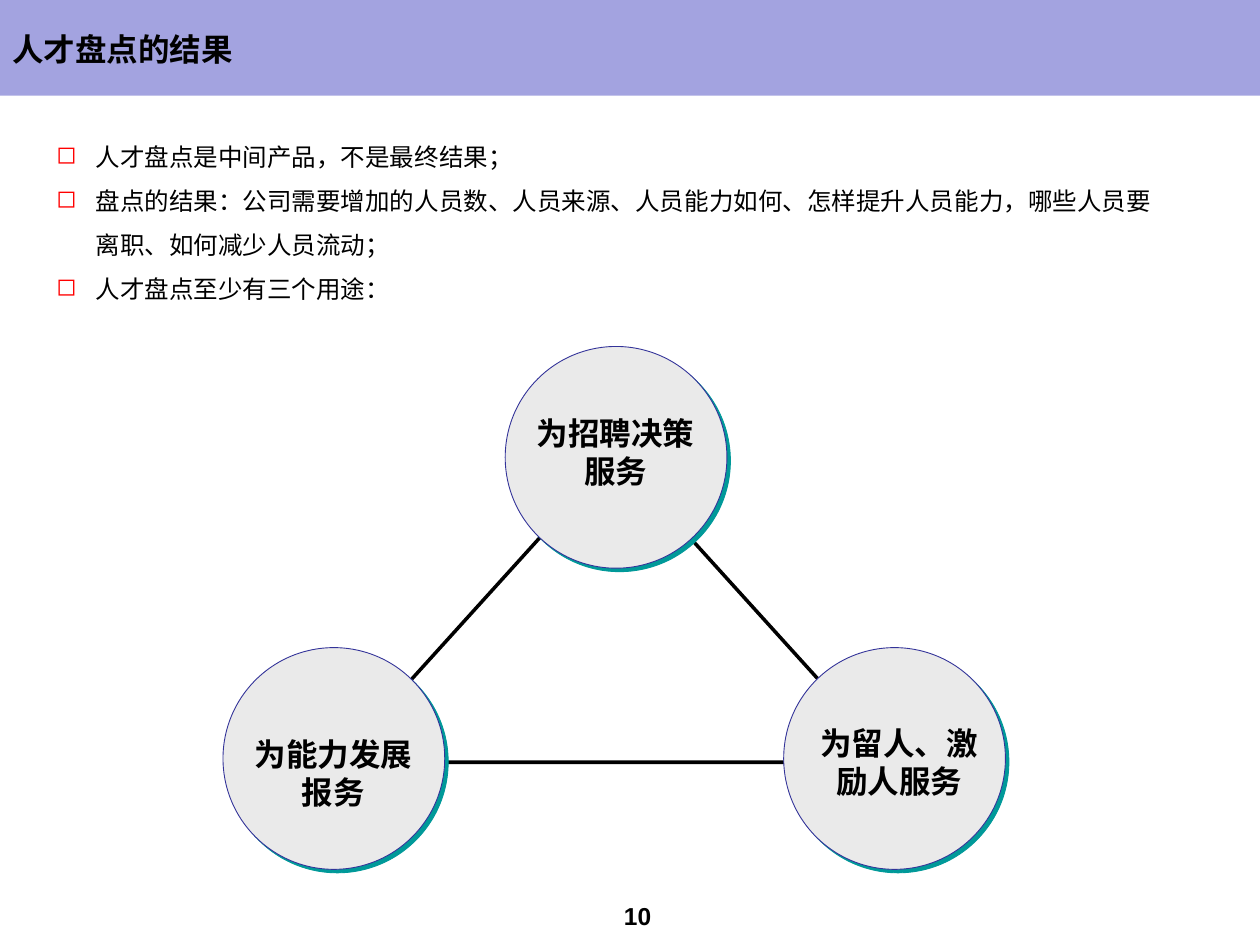
from dataclasses import dataclass

from lxml.etree import SubElement as Sub
from pptx import Presentation as Deck
from pptx.dml.color import RGBColor as Rgb
from pptx.enum.shapes import MSO_AUTO_SHAPE_TYPE as Kind
from pptx.enum.text import MSO_ANCHOR as Anchor, PP_ALIGN as Align
from pptx.oxml.ns import qn
from pptx.util import Inches, Pt

HUES = {
    "band": "A3A3E0",
    "ink": "000000",
    "disc": "EAEAEA",
    "rim": "333399",
    "shade": "009999",
    "mark": "FF0000",
}
HAN = "Noto Sans CJK SC"
SIZE = 1.76


@dataclass
class Box:
    left: float
    top: float
    width: float
    height: float

    def place(self) -> list:
        return [Inches(n) for n in (self.left, self.top, self.width, self.height)]


@dataclass
class Node:
    left: float
    top: float
    label: str
    text: Box


ITEMS = [
    "人才盘点是中间产品，不是最终结果；",
    "盘点的结果：公司需要增加的人员数、人员来源、人员能力如何、怎样提升人员能力，哪些人员要离职、如何减少人员流动；",
    "人才盘点至少有三个用途：",
]
NODES = [
    Node(4.01, 2.75, "为招聘决策服务", Box(4.14, 3.44, 1.49, 0.29)),
    Node(1.77, 5.14, "为能力发展报务", Box(1.9, 5.92, 1.49, 0.43)),
    Node(6.22, 5.14, "为留人、激励人服务", Box(6.39, 5.95, 1.49, 0.2)),
]


def hue(name: str) -> Rgb:
    return Rgb.from_string(HUES[name])


def apply(item, values: dict) -> None:
    for key, value in values.items():
        setattr(item, key, value)


def shape(slide, kind, box: Box, fill: str = "", line: str = "", width: float = 0):
    form = slide.shapes.add_shape(kind, *box.place())
    form.shadow.inherit = False
    if fill:
        form.fill.solid()
        form.fill.fore_color.rgb = hue(fill)
    else:
        form.fill.background()
    if line:
        form.line.color.rgb = hue(line)
        form.line.width = Pt(width)
    else:
        form.line.fill.background()
    return form


def shade(form) -> None:
    effect = form._element.spPr.find(qn("a:effectLst"))
    cast = Sub(effect, qn("a:outerShdw"), dist=str(Pt(2.8)), dir="2700000",
               algn="ctr", rotWithShape="0")
    Sub(cast, qn("a:srgbClr"), val=HUES["shade"])


def bullet(para) -> None:
    props = para._p.get_or_add_pPr()
    apply(para, {"line_spacing": 1.5})
    props.set("marL", str(Inches(0.31)))
    props.set("indent", str(Inches(-0.31)))
    Sub(Sub(props, qn("a:buClr")), qn("a:srgbClr"), val=HUES["mark"])
    Sub(props, qn("a:buChar"), char="◻")


def write(slide, box: Box, lines: list[str], size: float, bold: bool = False,
          face: str = "Arial", align=Align.LEFT, anchor=Anchor.MIDDLE,
          inset: tuple[float, float] = (0.1, 0.05), marks: bool = False) -> None:
    frame = slide.shapes.add_textbox(*box.place()).text_frame
    side, end = (Inches(n) for n in inset)
    apply(frame, {"word_wrap": True, "vertical_anchor": anchor,
                  "margin_left": side, "margin_right": side,
                  "margin_top": end, "margin_bottom": end})
    for i, line in enumerate(lines):
        para = frame.add_paragraph() if i else frame.paragraphs[0]
        para.alignment = align
        if marks:
            bullet(para)
        run = para.add_run()
        run.text = line
        apply(run.font, {"name": face, "size": Pt(size), "bold": bold})
        run.font.color.rgb = hue("ink")
        Sub(run._r.get_or_add_rPr(), qn("a:ea"), typeface=HAN)


def main() -> None:
    deck = Deck()
    apply(deck, {"slide_width": Inches(10), "slide_height": Inches(7.5)})
    slide = deck.slides.add_slide(deck.slide_layouts[6])
    shape(slide, Kind.RECTANGLE, Box(0, 0, 10, 0.76), "band")
    write(slide, Box(4.69, 7.09, 0.74, 0.35), ["10"], 14, True, align=Align.CENTER)
    write(slide, Box(0, 0.08, 9.67, 0.62), ["人才盘点的结果"], 18, True, HAN)
    write(slide, Box(0.35, 0.96, 9.06, 1.47), ITEMS, 14,
          anchor=Anchor.TOP, marks=True)
    shape(slide, Kind.ISOSCELES_TRIANGLE, Box(2.67, 3.61, 4.42, 2.44), "", "ink", 2)
    for node in NODES:
        disc = Box(node.left, node.top, SIZE, SIZE)
        shade(shape(slide, Kind.OVAL, disc, "disc", "rim", 0.5))
    for node in NODES:
        write(slide, node.text, [node.label], 18, True,
              align=Align.CENTER, inset=(0, 0))
    deck.save("out.pptx")


if __name__ == "__main__":
    main()
